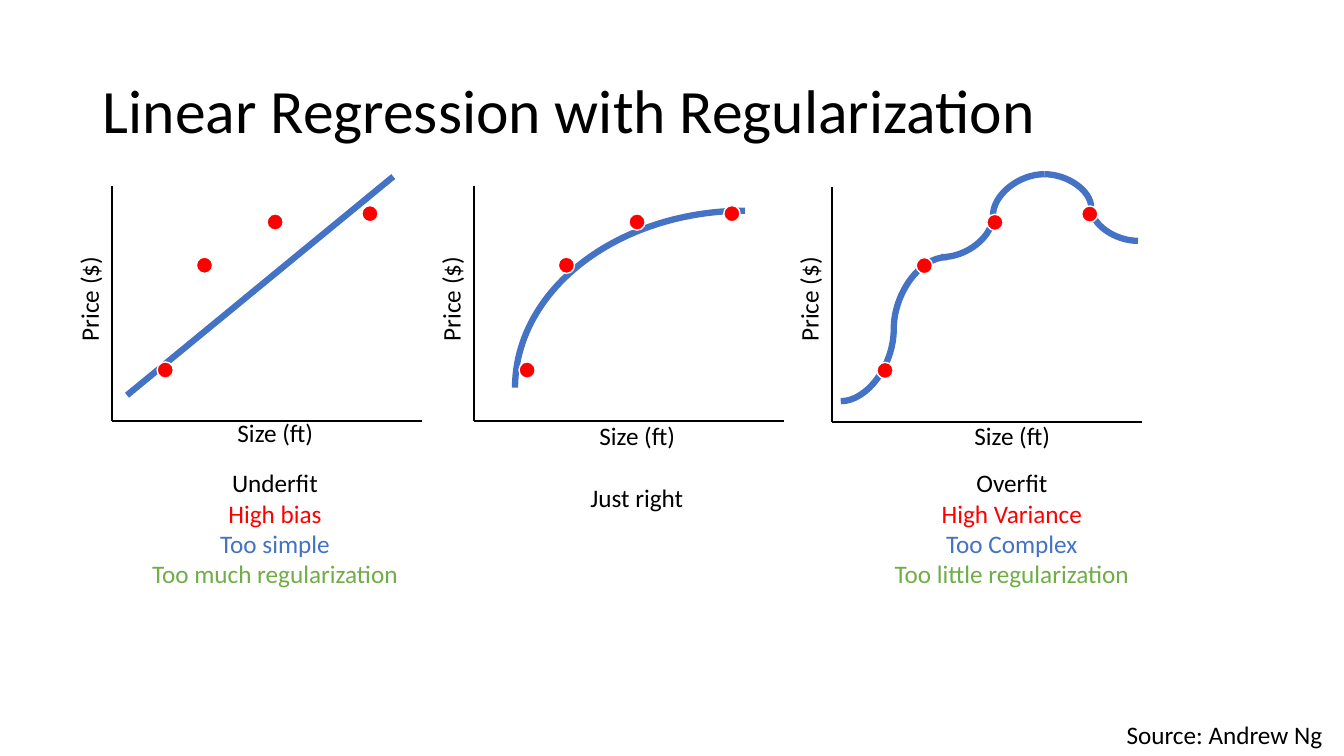
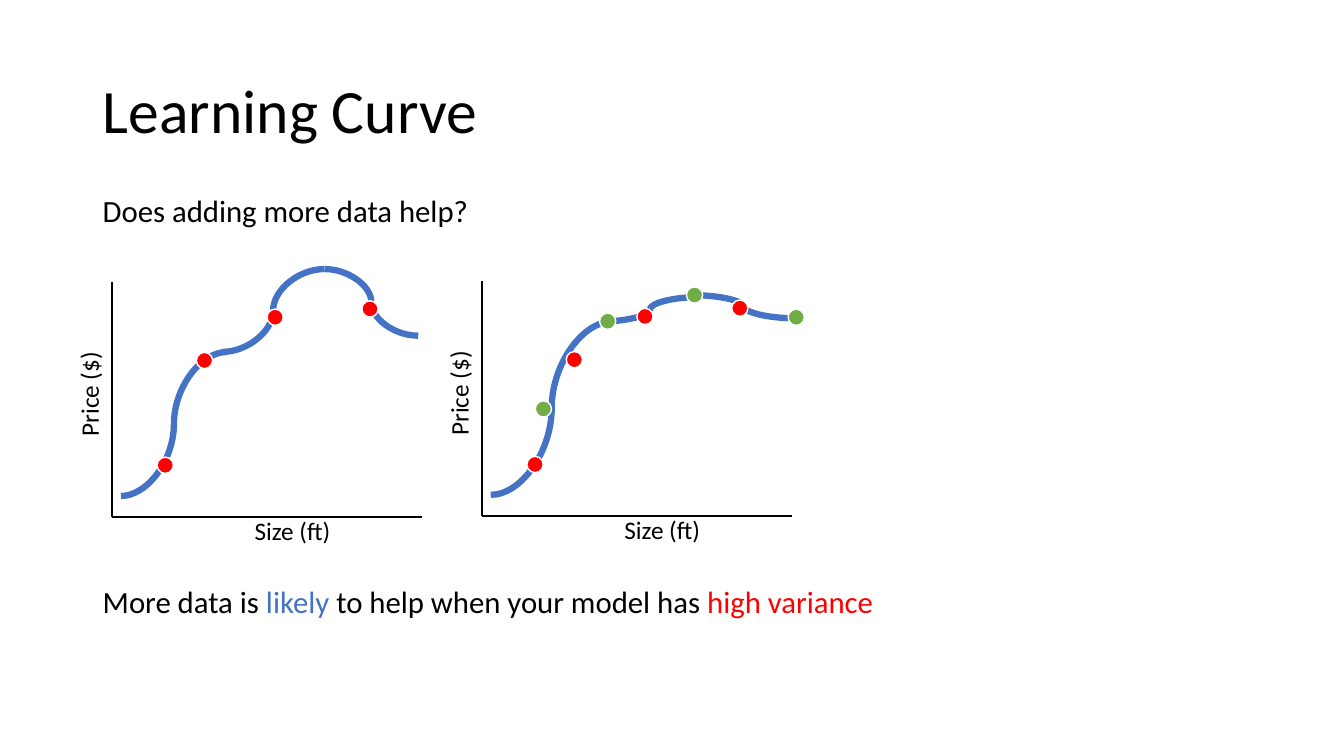
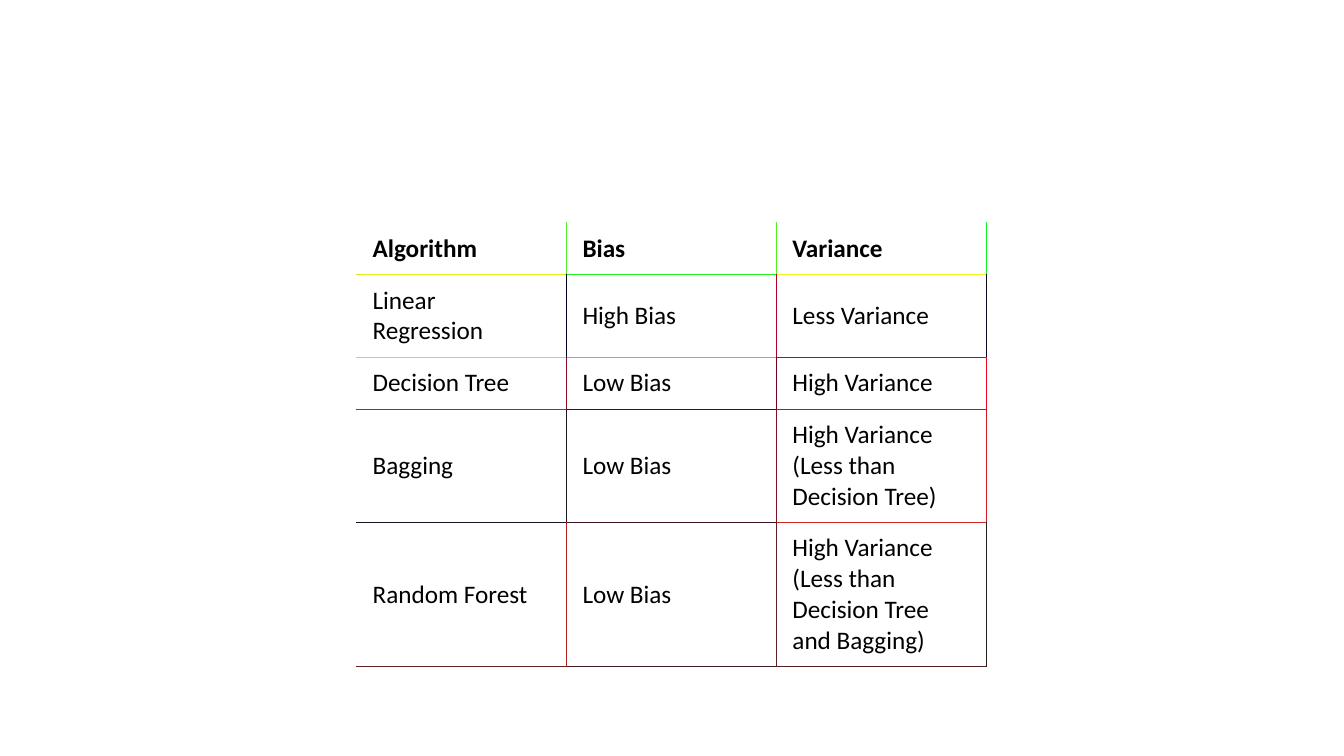
from dataclasses import dataclass

from lxml.etree import SubElement
from pptx import Presentation
from pptx.dml.color import RGBColor
from pptx.enum.shapes import MSO_CONNECTOR as Connector, MSO_SHAPE as Shape
from pptx.enum.text import MSO_ANCHOR as Anchor, MSO_AUTO_SIZE as AutoSize, PP_ALIGN as Align
from pptx.oxml.ns import qn
from pptx.util import Cm, Pt


@dataclass(frozen=True)
class Theme:
    font: str = "Calibri"
    black: str = "000000"
    white: str = "FFFFFF"
    red: str = "FF0000"
    blue: str = "4472C4"
    green: str = "70AD47"
    title_size: float = 44
    lead_size: float = 22
    text_size: float = 18
    curve_width: float = 4.5
    axis_width: float = 1.5
    dot_width: float = 1
    border_width: float = 0.75


THEME = Theme()
TITLE_ONLY, BLANK = 5, 6

# Plot coordinates are centimetres from the corner where the axes meet.
AXIS_WIDTH, AXIS_HEIGHT, DOT_SIZE = 7.82, 5.92, 0.41
LABEL_SIZE = (2.9, 1.02)
DATA_POINTS = [(1.14, -1.5), (2.13, -4.14), (3.91, -5.23), (6.3, -5.44)]
ADDED_POINTS = [(1.35, -2.9), (2.97, -5.11), (5.16, -5.77), (7.72, -5.21)]
UNDERFIT_LINE = ((7.09, -6.17), (0.38, -0.66))
JUST_RIGHT_ARC = (1.04, -5.31, 11.58, 8.92)
OVERFIT_CURVES = [
    ((2.9, -4.15), (0.23, -0.52)),
    ((5.36, -6.24), (2.77, -4.15)),
    ((5.36, -6.24), (7.72, -4.56)),
]
SMOOTHER_CURVES = [
    ((5.41, -5.51), (3.07, -4.9)),
    ((3.3, -4.9), (0.23, -0.53)),
    ((5.36, -5.56), (7.87, -4.98)),
]

ALGORITHM_ROWS = [
    ("Algorithm", "Bias", "Variance"),
    ("Linear Regression", "High Bias", "Less Variance"),
    ("Decision Tree", "Low Bias", "High Variance"),
    ("Bagging", "Low Bias", "High Variance (Less than Decision Tree)"),
    ("Random Forest", "Low Bias", "High Variance (Less than Decision Tree and Bagging)"),
]
ROW_HEIGHTS = [1.31, 2.08, 1.31, 2.85, 3.64]
COLUMN_WIDTH = 5.29
RIGHT_BORDERS = [
    ("50EC21", "50F221", "10F321"),
    ("000022", "B00122", "100822"),
    ("900922", "700522", "F00622"),
    ("201622", "801322", "D01722"),
    ("B01F22", "602122", "202222"),
]
BOTTOM_BORDERS = [
    ("E0EC21", "20EF21", "F0F421"),
    ("90FD21", "20FE21", "C00622"),
    ("E00A22", "500A22", "D00822"),
    ("101722", "401422", "D02622"),
    ("602122", "401D22", "502222"),
]


def rgb(color):
    return RGBColor.from_string(color)


def write(frame, *paragraphs, size=THEME.text_size, bold=False, align=Align.LEFT, spacing=None):
    """Fill a text frame; each paragraph is a string or a list of (text, colour) runs."""
    frame.word_wrap = True
    for index, runs in enumerate(paragraphs):
        paragraph = frame.add_paragraph() if index else frame.paragraphs[0]
        paragraph.alignment = align
        paragraph.line_spacing = spacing
        if isinstance(runs, str):
            runs = [(runs, THEME.black)]
        for text, color in runs:
            run = paragraph.add_run()
            run.text = text
            run.font.name = THEME.font
            run.font.size = Pt(size)
            run.font.bold = bold
            run.font.color.rgb = rgb(color)


def add_text(slide, box, *paragraphs, rotation=0, **text_format):
    shape = slide.shapes.add_textbox(*map(Cm, box))
    shape.rotation = rotation
    shape.text_frame.auto_size = AutoSize.SHAPE_TO_FIT_TEXT
    write(shape.text_frame, *paragraphs, **text_format)


def add_titled_slide(presentation, title):
    slide = presentation.slides.add_slide(presentation.slide_layouts[TITLE_ONLY])
    write(slide.shapes.title.text_frame, title, size=THEME.title_size, spacing=0.9)
    return slide


def set_line(shape, color, width):
    shape.line.color.rgb = rgb(color)
    shape.line.width = Pt(width)


class Plot:
    """A price and size plot whose axes meet at the given corner."""

    def __init__(self, slide, left, bottom):
        self.slide, self.left, self.bottom = slide, left, bottom

    def place(self, x, y):
        return self.left + x, self.bottom + y

    def line(self, start, end, color=THEME.blue, width=THEME.curve_width, kind=Connector.STRAIGHT):
        ends = (*self.place(*start), *self.place(*end))
        connector = self.slide.shapes.add_connector(kind, *map(Cm, ends))
        set_line(connector, color, width)
        SubElement(connector._element.spPr, qn("a:effectLst"))

    def curves(self, pieces):
        for start, end in pieces:
            self.line(start, end, kind=Connector.CURVE)

    def arc(self, x, y, width, height):
        """Draw the upper left quarter of an ellipse."""
        box = (*self.place(x, y), width, height)
        shape = self.slide.shapes.add_shape(Shape.ARC, *map(Cm, box))
        shape._element.spPr.find(qn("a:xfrm")).set("flipH", "1")
        shape.shadow.inherit = False
        shape.fill.background()
        set_line(shape, THEME.blue, THEME.curve_width)

    def axes(self, size_label=(3.1, -0.16)):
        for end in ((0, -AXIS_HEIGHT), (AXIS_WIDTH, 0)):
            self.line(end, (0, 0), THEME.black, THEME.axis_width)
        add_text(self.slide, (*self.place(-2.03, -3.73), *LABEL_SIZE), "Price ($)", rotation=270)
        add_text(self.slide, (*self.place(*size_label), *LABEL_SIZE), "Size (ft)", align=Align.CENTER)

    def dots(self, points, color=THEME.red):
        for point in points:
            box = (*self.place(*point), DOT_SIZE, DOT_SIZE)
            dot = self.slide.shapes.add_shape(Shape.OVAL, *map(Cm, box))
            dot.shadow.inherit = False
            dot.fill.solid()
            dot.fill.fore_color.rgb = rgb(color)
            set_line(dot, THEME.white, THEME.dot_width)


def add_verdict(slide, left, *lines):
    colors = (THEME.black, THEME.red, THEME.blue, THEME.green)
    paragraphs = [[run] for run in zip(lines, colors)]
    add_text(slide, (left, 11.66, 7.62, 4.11), *paragraphs, align=Align.CENTER)


def add_regularization_slide(presentation):
    slide = add_titled_slide(presentation, "Linear Regression with Regularization")

    underfit = Plot(slide, 2.82, 10.62)
    underfit.line(*UNDERFIT_LINE)
    underfit.axes(size_label=(2.67, -0.23))
    underfit.dots(DATA_POINTS)

    just_right = Plot(slide, 11.94, 10.62)
    just_right.arc(*JUST_RIGHT_ARC)
    just_right.axes(size_label=(2.67, -0.16))
    just_right.dots(DATA_POINTS)

    overfit = Plot(slide, 20.96, 10.63)
    overfit.curves(OVERFIT_CURVES)
    overfit.axes()
    overfit.dots(DATA_POINTS)

    add_verdict(slide, 3.12, "Underfit", "High bias", "Too simple", "Too much regularization")
    add_verdict(slide, 21.69, "Overfit", "High Variance", "Too Complex", "Too little regularization")
    add_text(slide, (12.24, 12.04, 7.62, 1.02), "Just right", align=Align.CENTER)
    add_text(slide, (28.14, 18.01, 5.72, 1.02), "Source: Andrew Ng")


def add_learning_slide(presentation):
    slide = add_titled_slide(presentation, "Learning Curve")
    add_text(slide, (2.34, 4.7, 15.37, 1.19), "Does adding more data help?", size=THEME.lead_size)

    few_data = Plot(slide, 2.82, 13.02)
    few_data.curves(OVERFIT_CURVES)
    few_data.axes()
    few_data.dots(DATA_POINTS)

    more_data = Plot(slide, 12.14, 13)
    more_data.curves(SMOOTHER_CURVES)
    more_data.axes()
    more_data.dots(DATA_POINTS)
    more_data.dots(ADDED_POINTS, THEME.green)

    conclusion = [
        ("More data is ", THEME.black),
        ("likely", THEME.blue),
        (" to help when your model has ", THEME.black),
        ("high variance", THEME.red),
    ]
    add_text(slide, (2.34, 14.55, 21.13, 1.19), conclusion, size=THEME.lead_size)


def set_borders(cell, row, column):
    """Colour the cell's borders; neighbours share the border between them."""
    borders = {
        "a:lnL": RIGHT_BORDERS[row][column - 1] if column else None,
        "a:lnR": RIGHT_BORDERS[row][column],
        "a:lnT": BOTTOM_BORDERS[row - 1][column] if row else None,
        "a:lnB": BOTTOM_BORDERS[row][column],
    }
    properties = cell._tc.get_or_add_tcPr()
    for tag, color in borders.items():
        if color:
            line = SubElement(properties, qn(tag), w=str(Pt(THEME.border_width)))
            fill = SubElement(line, qn("a:solidFill"))
            SubElement(fill, qn("a:srgbClr"), val=color)


def add_algorithm_slide(presentation):
    slide = presentation.slides.add_slide(presentation.slide_layouts[BLANK])
    row_count, column_count = len(ALGORITHM_ROWS), len(ALGORITHM_ROWS[0])
    box = (8.99, 5.61, COLUMN_WIDTH * column_count, sum(ROW_HEIGHTS))
    table = slide.shapes.add_table(row_count, column_count, *map(Cm, box)).table
    table.first_row = table.horz_banding = False
    for column in table.columns:
        column.width = Cm(COLUMN_WIDTH)
    for row, texts in enumerate(ALGORITHM_ROWS):
        table.rows[row].height = Cm(ROW_HEIGHTS[row])
        for column, text in enumerate(texts):
            cell = table.cell(row, column)
            set_borders(cell, row, column)
            cell.fill.solid()
            cell.fill.fore_color.rgb = rgb(THEME.white)
            cell.vertical_anchor = Anchor.MIDDLE
            cell.margin_left = cell.margin_right = Cm(0.4)
            cell.margin_top = cell.margin_bottom = Cm(0.25)
            write(cell.text_frame, text, bold=row == 0)


def set_title_layout(presentation):
    title = presentation.slide_layouts[TITLE_ONLY].placeholders[0]
    title.left, title.top, title.width, title.height = map(Cm, (2.34, 1.02, 29.21, 3.68))
    title.text_frame.vertical_anchor = Anchor.MIDDLE


def main():
    presentation = Presentation()
    presentation.slide_width, presentation.slide_height = Cm(33.87), Cm(19.05)
    set_title_layout(presentation)
    add_regularization_slide(presentation)
    add_learning_slide(presentation)
    add_algorithm_slide(presentation)
    presentation.save("out.pptx")


if __name__ == "__main__":
    main()
